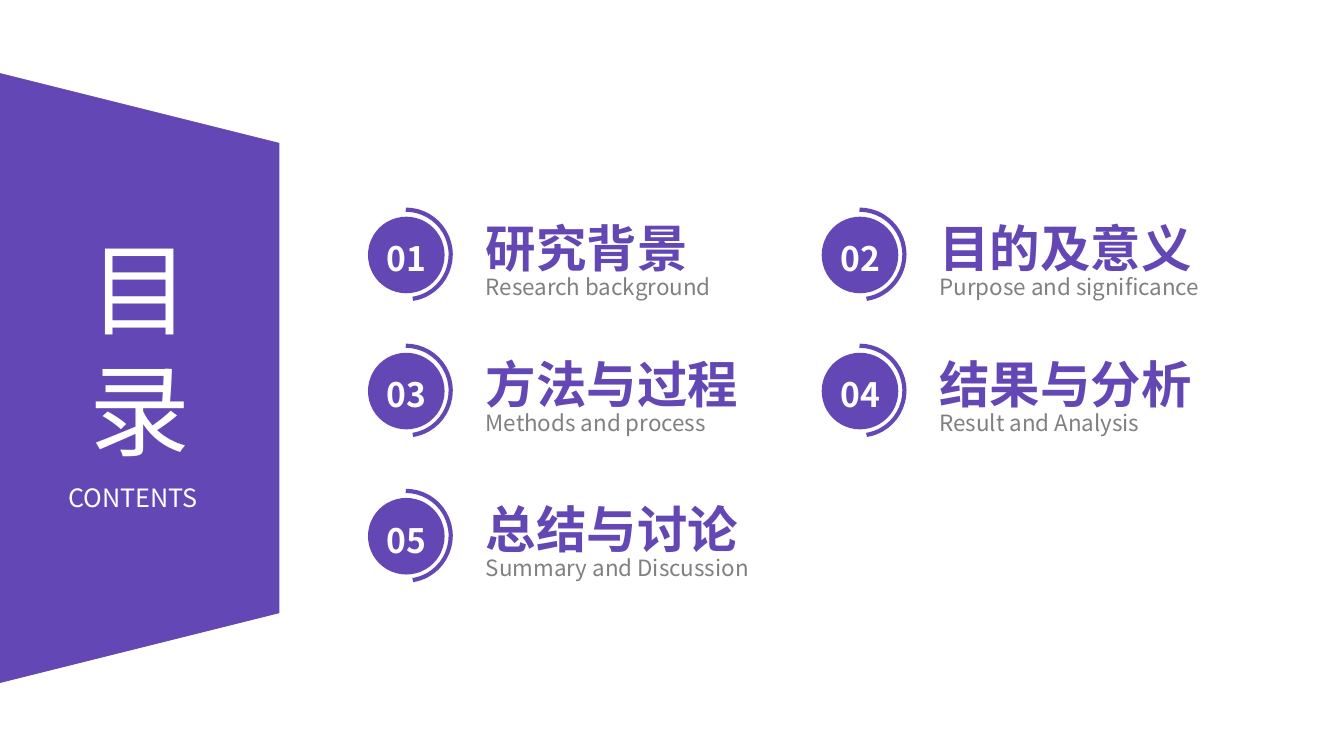
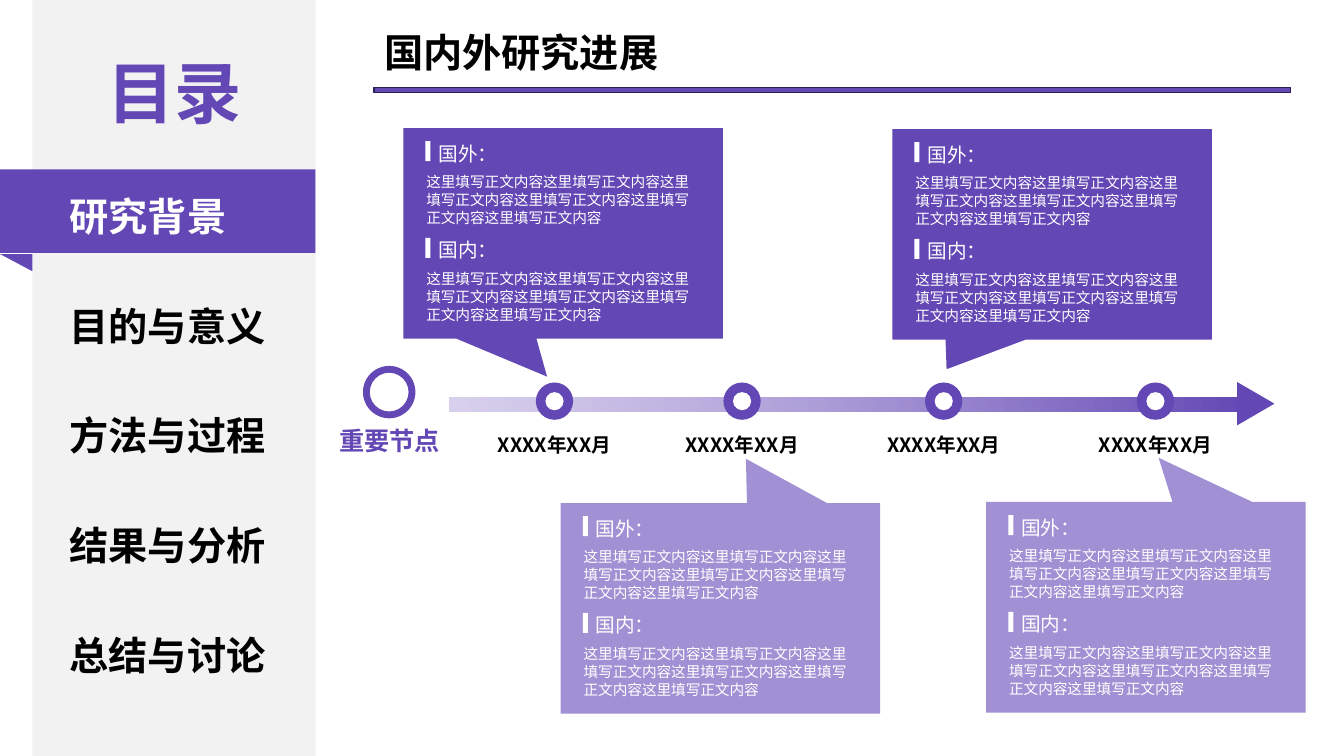
from lxml.etree import SubElement
from pptx import Presentation
from pptx.dml.color import RGBColor
from pptx.enum.shapes import MSO_SHAPE
from pptx.enum.text import MSO_ANCHOR, MSO_AUTO_SIZE, PP_ALIGN
from pptx.oxml.ns import qn
from pptx.util import Inches, Pt

LEFT, CENTER = PP_ALIGN.LEFT, PP_ALIGN.CENTER
TOP, NO_FIT = MSO_ANCHOR.TOP, MSO_AUTO_SIZE.NONE
RECT, OVAL, ARC = MSO_SHAPE.RECTANGLE, MSO_SHAPE.OVAL, MSO_SHAPE.ARC
TRAPEZOID, DONUT = MSO_SHAPE.TRAPEZOID, MSO_SHAPE.DONUT
TRIANGLE, FOLD = MSO_SHAPE.ISOSCELES_TRIANGLE, MSO_SHAPE.RIGHT_TRIANGLE
CALLOUT = MSO_SHAPE.RECTANGULAR_CALLOUT

PURPLE = RGBColor(0x63, 0x47, 0xB5)
LILAC = RGBColor(0xA1, 0x90, 0xD3)
PALE = RGBColor(0xB1, 0xA2, 0xDB)
DARK = RGBColor(0x2B, 0x1F, 0x4F)
WHITE = RGBColor(0xFF, 0xFF, 0xFF)
BLACK = RGBColor(0, 0, 0)
GREY = RGBColor(0x80, 0x80, 0x80)
MIST = RGBColor(0xF2, 0xF2, 0xF2)

FONT = "Noto Sans CJK SC"
SLIDE_W, SLIDE_H = 13.33, 7.5
LINE_RATIO = 1.2      # line height as a share of the text size
TOP_RATIO = 0.13      # extra inset above the first line, as a share of its size


def style(size, color, bold=False, line=LINE_RATIO):
    return {"font": {"size": Pt(size), "bold": bold, "name": FONT},
            "points": size, "color": color, "line": line}


COVER_TITLE = style(72, WHITE)
COVER_LABEL = style(18, WHITE)
NUMBER = style(24, WHITE, True)
ITEM = style(36, PURPLE, True)
ITEM_ENGLISH = style(16, GREY, line=1)
SIDE_TITLE = style(48, PURPLE, True)
SIDE_ACTIVE = style(28, WHITE, True)
HEADING = style(28, BLACK, True)
MILESTONE = style(18, PURPLE, True)
DATE = style(14, BLACK, True)
CARD_HEAD = style(14, WHITE)
CARD_BODY = style(10.5, WHITE)

CONTENTS = [
    ("研究背景", "Research background"),
    ("目的及意义", "Purpose and significance"),
    ("方法与过程", "Methods and process"),
    ("结果与分析", "Result and Analysis"),
    ("总结与讨论", "Summary and Discussion"),
]
SECTIONS = ["研究背景", "目的与意义", "方法与过程", "结果与分析", "总结与讨论"]
FILLER = "这里填写正文内容" * 6
NODE_CENTERS = [5.5, 7.36, 9.36, 11.46]
# left, top, colour and pointer tip of each callout
CARDS = [
    (4, 1.27, PURPLE, (-0.05, 0.68)),
    (5.56, 4.99, LILAC, (0.08, -0.71)),
    (8.85, 1.28, PURPLE, (-0.33, 0.64)),
    (9.78, 4.98, LILAC, (0.04, -0.71)),
]


def write(shape, lines, align=LEFT, gap=0):
    """Fill a shape with (text, style) lines, gap points apart."""
    frame = shape.text_frame
    settings = {"word_wrap": True, "auto_size": NO_FIT, "vertical_anchor": TOP,
                "margin_left": Inches(0.1), "margin_right": Inches(0.1),
                "margin_top": Pt(3.6 + TOP_RATIO * lines[0][1]["points"])}
    for key, value in settings.items():
        setattr(frame, key, value)
    for index, (words, look) in enumerate(lines):
        para = frame.add_paragraph() if index else frame.paragraphs[0]
        para.alignment = align
        para.line_spacing = Pt(look["line"] * look["points"])
        para.space_before = Pt(gap if index else 0)
        run = para.add_run()
        run.text = words
        for key, value in look["font"].items():
            setattr(run.font, key, value)
        run.font.color.rgb = look["color"]
    for props in shape.element.xpath(".//a:rPr"):
        SubElement(props, qn("a:ea"), typeface=FONT)


def text(shapes, box, words, look, align=LEFT):
    write(shapes.add_textbox(*map(Inches, box)), [(words, look)], align)


def paint(shape, fill=None, line=None, width=1):
    shape.shadow.inherit = False
    if fill is None:
        shape.fill.background()
    else:
        shape.fill.solid()
        shape.fill.fore_color.rgb = fill
    if line is None:
        shape.line.fill.background()
    else:
        shape.line.color.rgb = line
        shape.line.width = Pt(width)
    return shape


def draw(shapes, kind, box, fill=None, line=None, width=1, turn=0, adjust=()):
    shape = paint(shapes.add_shape(kind, *map(Inches, box)), fill, line, width)
    shape.rotation = turn
    for index, value in enumerate(adjust):
        shape.adjustments[index] = value
    return shape


def place(placeholder, box, lines, align=LEFT, gap=0):
    """Move a placeholder to its box, in front of what is drawn so far."""
    for key, value in zip(("left", "top", "width", "height"), box):
        setattr(placeholder, key, Inches(value))
    write(placeholder, lines, align, gap)
    placeholder.element.getparent().append(placeholder.element)


# Contents slide
def cover_panel(slide, width, height):
    box = ((width - height) / 2, (SLIDE_H - width) / 2, height, width)
    draw(slide.shapes, TRAPEZOID, box, PURPLE, turn=90)
    place(slide.shapes.title, (0.49, 2.07, 1.79, 2.52), [("目录", COVER_TITLE)], CENTER)
    text(slide.shapes, (0.58, 4.7, 1.61, 0.4), "CONTENTS", COVER_LABEL)


def contents_item(slide, left, top, number, chinese, english):
    shapes = slide.shapes.add_group_shape().shapes
    draw(shapes, OVAL, (left + 0.07, top + 0.07, 0.76, 0.76), PURPLE)
    text(shapes, (left + 0.09, top + 0.19, 0.72, 0.5), f"{number:02}", NUMBER, CENTER)
    label = shapes.add_textbox(*map(Inches, (left + 1.14, top - 0.04, 4, 0.98)))
    write(label, [(chinese, ITEM), (english, ITEM_ENGLISH)])
    draw(shapes, ARC, (left, top, 0.89, 0.89), line=PURPLE, width=3,
         adjust=(162, 48.64))


def contents_slide(prs):
    slide = prs.slides.add_slide(prs.slide_layouts[5])
    cover_panel(slide, 2.77, 6.05)
    columns, rows = (3.58, 8.08), (2.08, 3.43, 4.87)
    for index, names in enumerate(CONTENTS):
        row, column = divmod(index, len(columns))
        contents_item(slide, columns[column], rows[row], index + 1, *names)


# Progress slide
def sidebar(slide, left, width):
    shapes = slide.shapes
    right = left + width
    draw(shapes, RECT, (left, 0, width, SLIDE_H), MIST)
    text(shapes, (0.76, 0.37, 1.94, 0.91), "目录", SIDE_TITLE, CENTER)
    # ribbon behind the current section
    draw(shapes, RECT, (0, 1.68, right, 0.83), PURPLE)
    draw(shapes, FOLD, (0, 2.52, left, 0.17), PURPLE, turn=180)
    # section list
    sections = slide.placeholders[1]
    lines = [(name, HEADING if index else SIDE_ACTIVE)
             for index, name in enumerate(SECTIONS)]
    place(sections, (left + 0.27, 1.81, 2.21, 4.92), lines, gap=44.7)
    for props in sections.element.xpath(".//a:pPr"):
        props.set("marL", "0")
        props.set("indent", "0")
        SubElement(props, qn("a:buNone"))


def heading(slide, left, width):
    place(slide.shapes.title, (left, 0.18, 4.93, 0.57), [("国内外研究进展", HEADING)])
    draw(slide.shapes, RECT, (left, 0.87, width, 0.05), PURPLE, DARK)


def clock(slide, left, top):
    shapes = slide.shapes.add_group_shape().shapes
    draw(shapes, DONUT, (left, top, 0.52, 0.52), PURPLE, adjust=(0.13,))
    outline = [(0.23, 0.11), (0.28, 0.11), (0.28, 0.24), (0.39, 0.31),
               (0.37, 0.35), (0.23, 0.27)]
    points = [(left + x, top + y) for x, y in outline]
    hands = shapes.build_freeform(*points[0], scale=Inches(1))
    hands.add_line_segments(points[1:])
    paint(hands.convert_to_shape(), PURPLE)


def timeline(slide, left, middle, width):
    shapes = slide.shapes
    # arrow fading in from the left
    bar = draw(shapes, RECT, (left, middle + 0.03 - 0.07, width - 0.2, 0.14), PURPLE)
    bar.fill.gradient()
    bar.fill.gradient_angle = 0
    for stop, color, position in zip(bar.fill.gradient_stops, (PALE, PURPLE), (0, 1)):
        stop.color.rgb = color
        stop.position = position
    start = bar.element.xpath(".//a:gs/a:srgbClr")[0]
    SubElement(start, qn("a:alpha"), val="50000")
    draw(shapes, TRIANGLE, (left + width - 0.4, middle - 0.16, 0.43, 0.37),
         PURPLE, turn=90)
    # dated nodes
    for center in NODE_CENTERS:
        for size, color in ((0.37, PURPLE), (0.18, WHITE)):
            draw(shapes, OVAL, (center - size / 2, middle - size / 2, size, size), color)
        text(shapes, (center - 0.87, middle + 0.24, 1.74, 0.34), "XXXX年XX月",
             DATE, CENTER)
    # key to the nodes
    clock(slide, 3.6, middle - 0.35)
    text(shapes, (3.14, middle + 0.16, 1.45, 0.4), "重要节点", MILESTONE, CENTER)


def card(slide, left, top, color, tip):
    shapes = slide.shapes
    draw(shapes, CALLOUT, (left, top, 3.17, 2.09), color, adjust=tip)
    for index, region in enumerate(("国外：", "国内：")):
        y = top + 0.96 * index
        text(shapes, (left + 0.25, y + 0.06, 0.89, 0.34), region, CARD_HEAD)
        draw(shapes, RECT, (left + 0.22, y + 0.13, 0.05, 0.2), WHITE)
        text(shapes, (left + 0.13, y + 0.38, 2.91, 0.63), FILLER, CARD_BODY)


def progress_slide(prs):
    slide = prs.slides.add_slide(prs.slide_layouts[1])
    sidebar(slide, 0.32, 2.81)
    heading(slide, 3.71, 9.09)
    timeline(slide, 4.46, 3.98, 8.18)
    for spot in CARDS:
        card(slide, *spot)


def main():
    prs = Presentation()
    prs.slide_width, prs.slide_height = Inches(SLIDE_W), Inches(SLIDE_H)
    contents_slide(prs)
    progress_slide(prs)
    prs.save("out.pptx")


if __name__ == "__main__":
    main()
